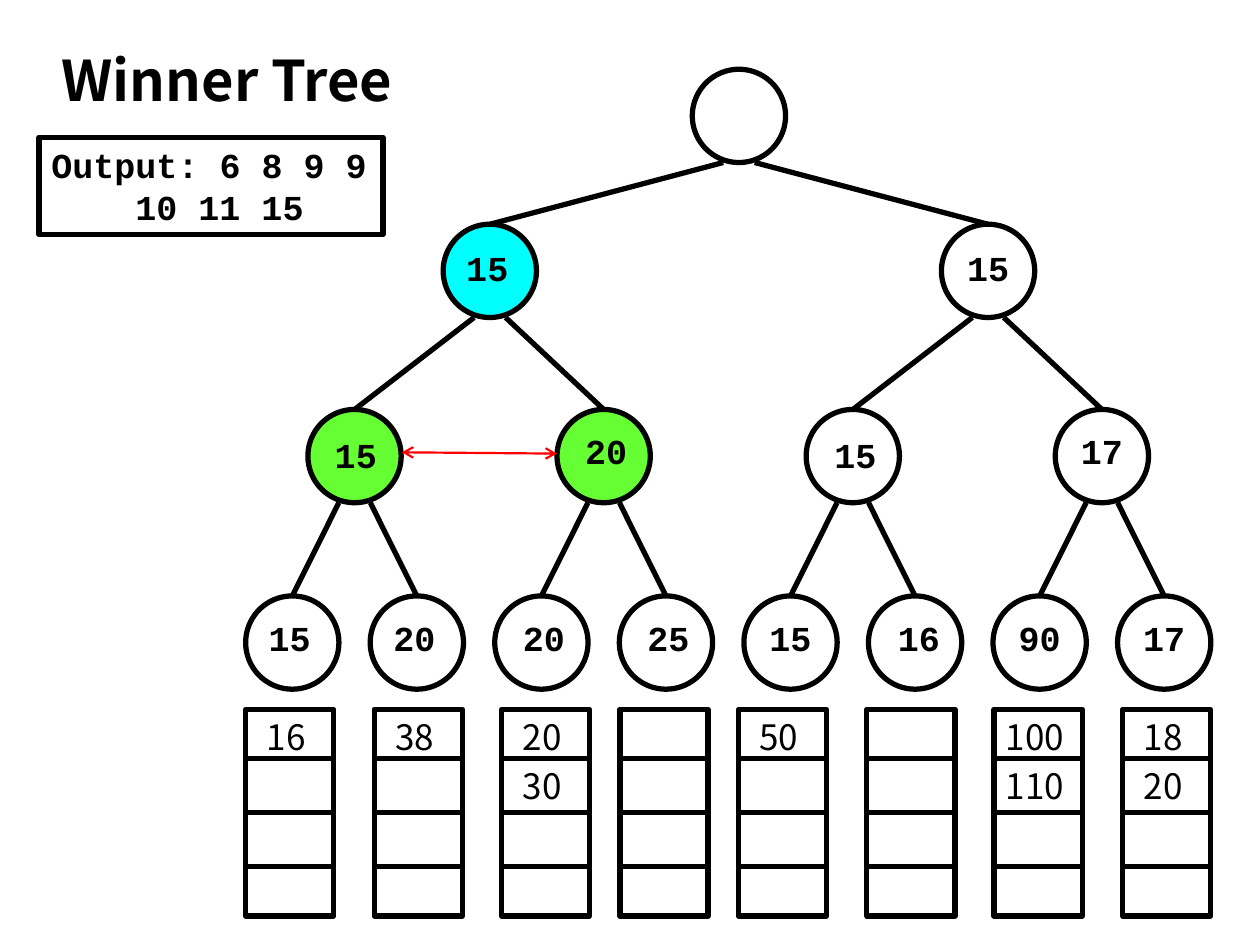
import dataclasses

import lxml.etree
import pptx
import pptx.dml.color
import pptx.enum.shapes
import pptx.enum.text
import pptx.oxml.ns
import pptx.util

Inches = pptx.util.Inches
Pt = pptx.util.Pt
SHAPE = pptx.enum.shapes.MSO_SHAPE
ALIGN = pptx.enum.text.PP_ALIGN


@dataclasses.dataclass(frozen=True)
class Theme:
    ink: str = "000000"
    winner: str = "00FFFF"
    contender: str = "66FF33"
    match: str = "FF0000"
    body_font: str = "Noto Sans CJK KR"
    code_font: str = "Courier New"
    title_size: float = 32
    body_size: float = 20
    outline: float = 3
    match_line: float = 1.25


THEME = Theme()
DIAMETER = 0.74
LABEL_WIDTH = 0.66
LABEL_HEIGHT = 0.44
EDGE_SPREAD = 0.125
LEAF_LEFT = 1.95
LEAF_PITCH = 6.92 / 7
SEMIFINAL_SHIFT = 0.085
LEVEL_TOPS = [4.73, 3.25, 1.78, 0.55]

# Each node: value, fill, label shift from the node centre, label drop.
LEVELS = [
    [("15", None, -0.02, 0.11), ("20", None, -0.02, 0.11),
     ("20", None, 0.02, 0.11), ("25", None, 0.02, 0.11),
     ("15", None, 0, 0.11), ("16", None, 0.03, 0.11),
     ("90", None, 0, 0.11), ("17", None, 0, 0.11)],
    [("15", THEME.contender, 0.01, 0.14), ("20", THEME.contender, 0.02, 0.11),
     ("15", None, 0.02, 0.14), ("17", None, 0, 0.11)],
    [("15", THEME.winner, -0.02, 0.13), ("15", None, 0, 0.13)],
    [("", None, 0, 0)],
]

QUEUE_TOP, QUEUE_WIDTH, QUEUE_HEIGHT = 5.63, 0.7, 1.64
ROW_LINES = [6.02, 6.45, 6.88]
QUEUES = [
    (1.95, ["16"]), (2.97, ["38"]), (3.98, ["20", "30"]), (4.92, []),
    (5.86, ["50"]), (6.88, []), (7.89, ["100", "110"]), (8.91, ["18", "20"]),
]


def color(value):
    return pptx.dml.color.RGBColor.from_string(value)


def style_text(frame, font, size, bold=False, align=ALIGN.LEFT):
    frame.auto_size = pptx.enum.text.MSO_AUTO_SIZE.SHAPE_TO_FIT_TEXT
    for paragraph in frame.paragraphs:
        paragraph.alignment = align
        for run in paragraph.runs:
            run.font.name = font
            run.font.size = Pt(size)
            run.font.bold = bold
            run.font.color.rgb = color(THEME.ink)


def add_text(shapes, text, left, top, width, height, font, size, **style):
    box = shapes.add_textbox(Inches(left), Inches(top), Inches(width), Inches(height))
    box.text_frame.word_wrap = True
    box.text_frame.text = text
    style_text(box.text_frame, font, size, **style)


def add_outlined(shapes, preset, left, top, width, height, fill=None):
    outlined = shapes.add_shape(
        preset, Inches(left), Inches(top), Inches(width), Inches(height))
    outlined.shadow.inherit = False
    if fill:
        outlined.fill.solid()
        outlined.fill.fore_color.rgb = color(fill)
    else:
        outlined.fill.background()
    outlined.line.color.rgb = color(THEME.ink)
    outlined.line.width = Pt(THEME.outline)
    return outlined


def add_line(shapes, x1, y1, x2, y2, stroke=THEME.ink, width=THEME.outline):
    line = shapes.add_connector(
        pptx.enum.shapes.MSO_CONNECTOR.STRAIGHT,
        Inches(x1), Inches(y1), Inches(x2), Inches(y2))
    line.line.color.rgb = color(stroke)
    line.line.width = Pt(width)
    lxml.etree.SubElement(line._element.spPr, pptx.oxml.ns.qn("a:effectLst"))
    return line


def add_node(slide, center, top, value, fill, shift, drop):
    shapes = slide.shapes.add_group_shape().shapes
    add_outlined(shapes, SHAPE.OVAL, center - DIAMETER / 2, top,
                 DIAMETER, DIAMETER, fill)
    if value:
        add_text(shapes, value, center + shift - LABEL_WIDTH / 2, top + drop,
                 LABEL_WIDTH, LABEL_HEIGHT, THEME.code_font, THEME.body_size,
                 bold=True, align=ALIGN.CENTER)


def level_centers():
    leaves = [LEAF_LEFT + DIAMETER / 2 + LEAF_PITCH * i for i in range(8)]
    centers = [leaves]
    for shift in (0, SEMIFINAL_SHIFT, 0):
        below = centers[-1]
        centers.append([(a + b) / 2 + shift for a, b in zip(below[::2], below[1::2])])
    return centers


def add_tree(slide):
    centers = level_centers()
    for row, top, nodes in zip(centers, LEVEL_TOPS, LEVELS):
        for center, node in zip(row, nodes):
            add_node(slide, center, top, *node)
    for depth in range(len(LEVELS) - 1):
        parent_bottom = LEVEL_TOPS[depth + 1] + DIAMETER
        for i, child in enumerate(centers[depth]):
            side = EDGE_SPREAD if i % 2 else -EDGE_SPREAD
            add_line(slide.shapes, child, LEVEL_TOPS[depth],
                     centers[depth + 1][i // 2] + side, parent_bottom)


def add_queue(slide, left, values):
    shapes = slide.shapes.add_group_shape().shapes
    add_outlined(shapes, SHAPE.RECTANGLE, left, QUEUE_TOP, QUEUE_WIDTH, QUEUE_HEIGHT)
    for y in ROW_LINES:
        add_line(shapes, left, y, left + QUEUE_WIDTH, y)
    for value, top in zip(values, [QUEUE_TOP, *ROW_LINES]):
        width = 0.56 if len(value) < 3 else 0.71
        add_text(shapes, value, left + (QUEUE_WIDTH - width) / 2, top, width,
                 LABEL_HEIGHT, THEME.body_font, THEME.body_size)


def add_output(slide):
    output = add_outlined(slide.shapes, SHAPE.RECTANGLE, 0.31, 1.09, 2.73, 0.77)
    frame = output.text_frame
    frame.text = "Output: 6 8 9 9\n10 11 15"
    frame.word_wrap = False
    frame.vertical_anchor = pptx.enum.text.MSO_ANCHOR.TOP
    style_text(frame, THEME.code_font, THEME.body_size, bold=True)
    continuation = frame.paragraphs[1]._p.get_or_add_pPr()
    continuation.set("marL", str(Pt(48)))
    continuation.set("indent", "0")


def add_match(slide):
    match = add_line(slide.shapes, 3.19, 3.59, 4.42, 3.6, THEME.match, THEME.match_line)
    stroke = match.line._get_or_add_ln()
    for end in ("a:headEnd", "a:tailEnd"):
        lxml.etree.SubElement(stroke, pptx.oxml.ns.qn(end), type="arrow")


def main():
    deck = pptx.Presentation()
    deck.slide_width, deck.slide_height = Inches(10), Inches(7.5)
    slide = deck.slides.add_slide(deck.slide_layouts[6])
    add_tree(slide)
    for left, values in QUEUES:
        add_queue(slide, left, values)
    add_text(slide.shapes, "Winner Tree", 0.39, 0.31, 3.36, 0.64,
             THEME.body_font, THEME.title_size, bold=True)
    add_output(slide)
    add_match(slide)
    deck.save("out.pptx")


if __name__ == "__main__":
    main()
